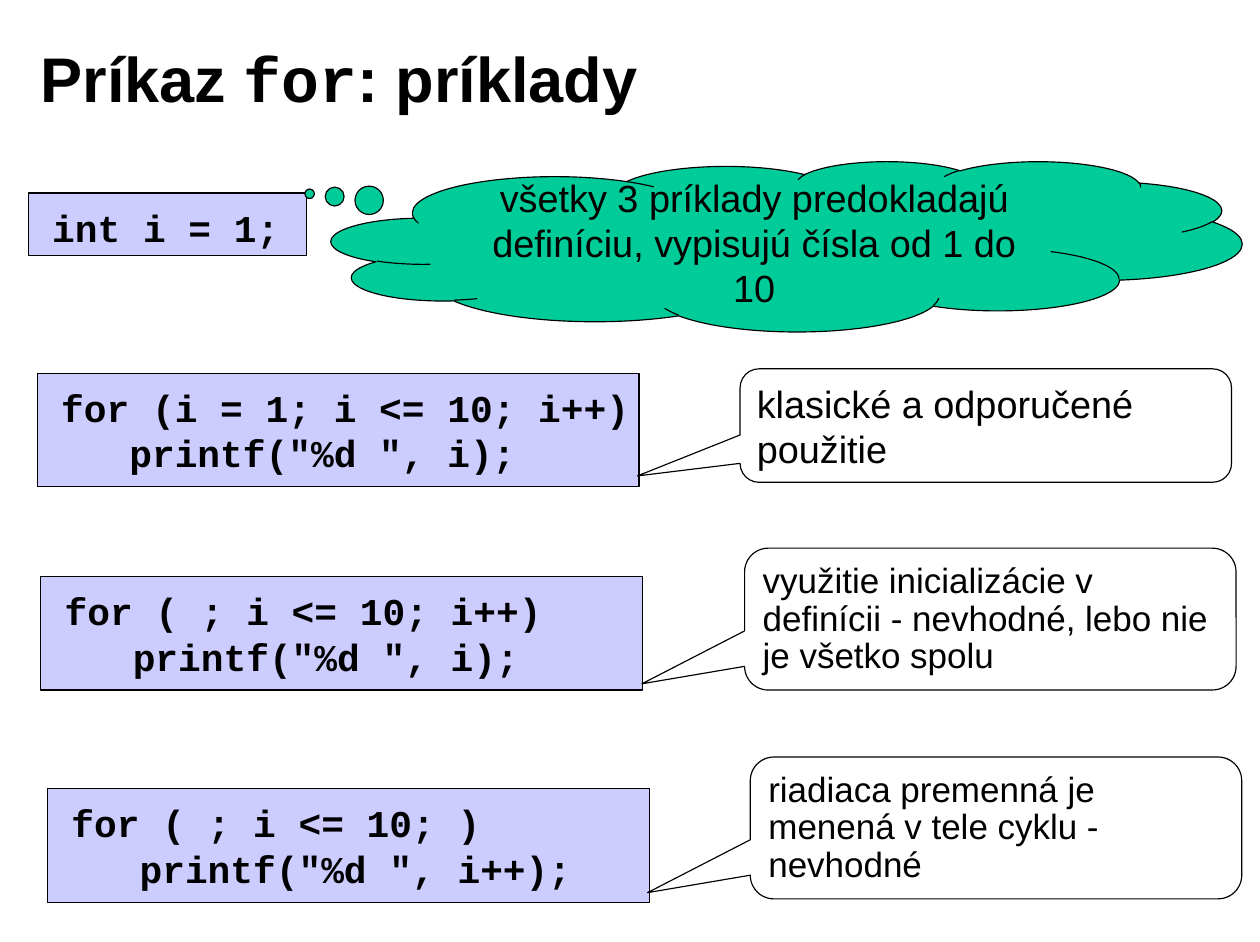
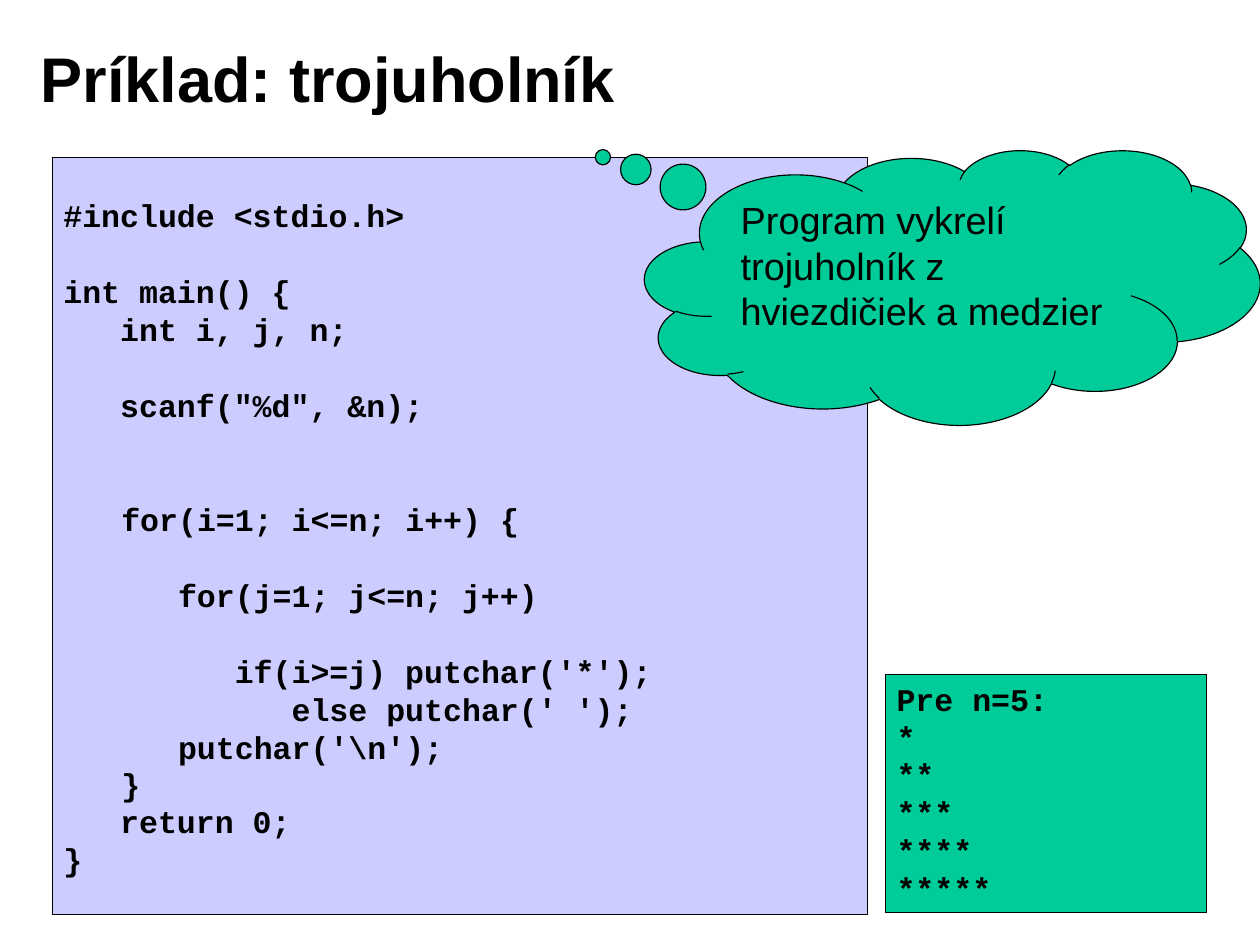
from pptx import Presentation
from pptx.dml.color import RGBColor
from pptx.enum.shapes import MSO_SHAPE
from pptx.enum.text import MSO_ANCHOR, MSO_AUTO_SIZE, PP_ALIGN
from pptx.util import Emu, Pt

# Shared look: 100 px to the inch
PX = 9144
COLORS = {"ink": "000000", "code": "CCCCFF", "accent": "00CC99", "paper": "FFFFFF"}
SANS, MONO = "Arial", "Courier New"
TITLE_BOX = (25, 17, 892, 102)
TITLE_MARGINS = (11, 6, 11, 6)
MARGINS = (10, 5, 10, 5)
CODE_MARGINS = (10, 1, 10, 0)


def set_text(frame, lines, size, margins, anchor, bold=False, leading=None,
             align=PP_ALIGN.LEFT):
    """Each line is a list of (text, font) runs; an empty line becomes spacing."""
    frame.word_wrap = True
    frame.auto_size = MSO_AUTO_SIZE.NONE
    frame.vertical_anchor = anchor
    (frame.margin_left, frame.margin_top,
     frame.margin_right, frame.margin_bottom) = [Emu(m * PX) for m in margins]
    paragraph, gap = frame.paragraphs[0], 0
    for index, runs in enumerate(lines):
        if not runs:
            gap += leading
            continue
        if index:
            paragraph = frame.add_paragraph()
        paragraph.alignment = align
        if leading:
            paragraph.line_spacing = Pt(leading)
        if gap:
            paragraph.space_before = Pt(gap)
            gap = 0
        for text, font in runs:
            run = paragraph.add_run()
            run.text = text
            run.font.name = font
            run.font.size = Pt(size)
            run.font.bold = bold
            run.font.color.rgb = RGBColor.from_string(COLORS["ink"])


def add_panel(slide, kind, box, fill, adjustments=(), outlined=True):
    """Adjustments are percentages of the shape's size."""
    shape = slide.shapes.add_shape(kind, *[Emu(v * PX) for v in box])
    shape.shadow.inherit = False
    shape.fill.solid()
    shape.fill.fore_color.rgb = RGBColor.from_string(COLORS[fill])
    if outlined:
        shape.line.color.rgb = RGBColor.from_string(COLORS["ink"])
        shape.line.width = Pt(0.75)
    else:
        shape.line.fill.background()
    for index, value in enumerate(adjustments):
        shape.adjustments[index] = value / 100
    return shape.text_frame


presentation = Presentation()
presentation.slide_width = Emu(1110 * PX)
presentation.slide_height = Emu(830 * PX)

# Titles
titles = [
    [("Príkaz ", SANS), ("for", MONO), (": príklady", SANS)],
    [("Príklad: trojuholník", SANS)],
]
slides = []
for runs in titles:
    slide = presentation.slides.add_slide(presentation.slide_layouts[5])
    title = slide.shapes.title
    title.left, title.top, title.width, title.height = [Emu(v * PX) for v in TITLE_BOX]
    set_text(title.text_frame, [runs], 40, TITLE_MARGINS, MSO_ANCHOR.MIDDLE, bold=True)
    slides.append(slide)
examples_slide, triangle_slide = slides

# Slide 1: code snippets
snippets = [
    ((25, 170, 245, 55), ["int i = 1;"]),
    ((33, 329, 530, 100), ["for (i = 1; i <= 10; i++)", '   printf("%d ", i);']),
    ((36, 508, 530, 100), ["for ( ; i <= 10; i++)", '   printf("%d ", i);']),
    ((42, 695, 530, 100), ["for ( ; i <= 10; )", '   printf("%d ", i++);']),
]
for box, code in snippets:
    frame = add_panel(examples_slide, MSO_SHAPE.RECTANGLE, box, "code")
    set_text(frame, [[(line, MONO)] for line in code], 24, (21, 10, 0, 0),
             MSO_ANCHOR.TOP, bold=True, leading=28.8)

# Slide 1: shared assumption
frame = add_panel(examples_slide, MSO_SHAPE.CLOUD_CALLOUT, (292, 142, 802, 150),
                  "accent", (-52.4, -30.8))
assumption = "všetky 3 príklady predokladajú definíciu, vypisujú čísla od 1 do 10"
set_text(frame, [[(assumption, SANS)]], 24, MARGINS, MSO_ANCHOR.MIDDLE,
         leading=28.8, align=PP_ALIGN.CENTER)

# Slide 1: remarks on each loop
remarks = [
    ((652, 325, 433, 100), 44.4, 24, 28.8, "klasické a odporučené použitie"),
    ((656, 483, 433, 125), 45.6, 22.2, 24,
     "využitie inicializácie v definícii - nevhodné, lebo nie je všetko spolu"),
    ((661, 667, 433, 125), 45.6, 22.2, 24,
     "riadiaca premenná je menená v tele cyklu - nevhodné"),
]
for box, tip, size, leading, remark in remarks:
    frame = add_panel(examples_slide, MSO_SHAPE.ROUNDED_RECTANGULAR_CALLOUT, box,
                      "paper", (-70.9, tip, 16.7))
    set_text(frame, [[(remark, SANS)]], size, MARGINS, MSO_ANCHOR.MIDDLE, leading=leading)

# Slide 2: sample output, program frame and the nested blocks laid over it
output = ["Pre n=5:"] + ["*" * count for count in range(1, 6)]
program = ["#include <stdio.h>", "", "int main() {", "   int i, j, n;", "",
           '   scanf("%d", &n);', *[""] * 10, "   return 0;", "}"]
outer_loop = ["for(i=1; i<=n; i++) {", *[""] * 6, "}"]
condition = ["if(i>=j) putchar('*');", "   else putchar(' ');"]
listings = [
    ((780, 594, 283, 210), "accent", True, output, MARGINS, MSO_ANCHOR.TOP),
    ((46, 139, 718, 667), "code", True, program, CODE_MARGINS, MSO_ANCHOR.MIDDLE),
    ((97, 432, 658, 283), "code", False, outer_loop, CODE_MARGINS, MSO_ANCHOR.MIDDLE),
    ((147, 502, 367, 43), "code", False, ["for(j=1; j<=n; j++)"], CODE_MARGINS,
     MSO_ANCHOR.MIDDLE),
    ((197, 572, 458, 71), "code", False, condition, CODE_MARGINS, MSO_ANCHOR.MIDDLE),
    ((147, 640, 279, 35), "code", False, [r"putchar('\n');"], CODE_MARGINS,
     MSO_ANCHOR.MIDDLE),
]
for box, fill, outlined, code, margins, anchor in listings:
    frame = add_panel(triangle_slide, MSO_SHAPE.RECTANGLE, box, fill, outlined=outlined)
    set_text(frame, [[(line, MONO)] if line else [] for line in code], 20, margins,
             anchor, bold=True, leading=24)

# Slide 2: what the program does
frame = add_panel(triangle_slide, MSO_SHAPE.CLOUD_CALLOUT, (568, 132, 542, 242),
                  "accent", (-56.8, -47.3))
set_text(frame, [[("Program vykrelí trojuholník z hviezdičiek a medzier", SANS)]], 24,
         MARGINS, MSO_ANCHOR.TOP, leading=28.8)

presentation.save("out.pptx")
